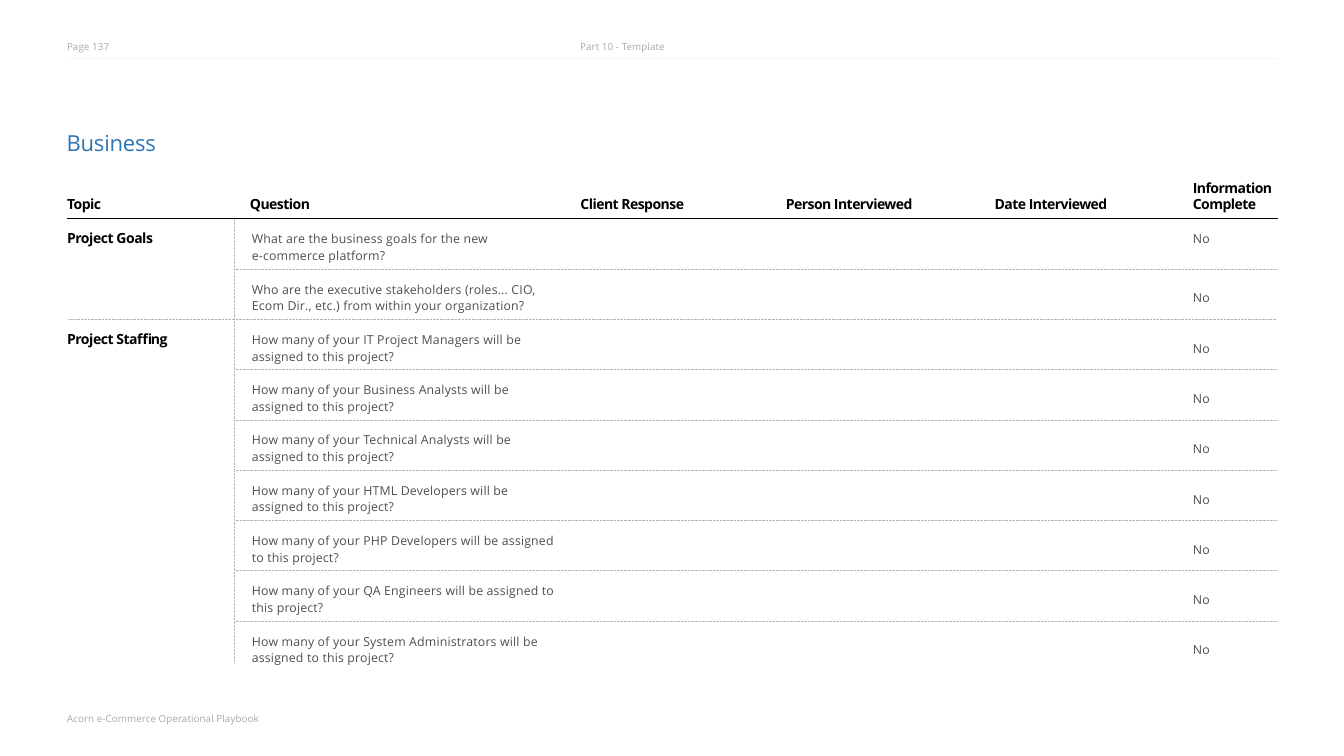
"""Build the Business interview checklist slide."""
from dataclasses import dataclass, field

import lxml.etree
import pptx
import pptx.dml.color
import pptx.enum.dml
import pptx.enum.shapes
import pptx.enum.text
import pptx.oxml.ns
import pptx.util

Pt = pptx.util.Pt
Anchor = pptx.enum.text.MSO_ANCHOR
Dash = pptx.enum.dml.MSO_LINE


@dataclass(frozen=True)
class TextStyle:
    size: float
    color: str
    bold: bool = False
    tracking: float = 0.0
    leading: float = 1.0


@dataclass(frozen=True)
class Stroke:
    color: str
    width: float
    dash: Dash = Dash.SOLID


@dataclass(frozen=True)
class Theme:
    font: str = "Open Sans"
    title: TextStyle = field(default=TextStyle(26, "2E75B5", tracking=-0.3))
    heading: TextStyle = field(default=TextStyle(16.5, "000000", True, -0.6, 0.84))
    topic: TextStyle = field(default=TextStyle(16.5, "000000", True, -0.5))
    body: TextStyle = field(default=TextStyle(14.5, "4B4F51", tracking=0.2))
    caption: TextStyle = field(default=TextStyle(11.5, "A7A8AA", tracking=0.1))
    page_rule: Stroke = field(default=Stroke("F4F5F4", 0.25))
    heading_rule: Stroke = field(default=Stroke("000101", 0.82))
    row_rule: Stroke = field(default=Stroke("B4B5B7", 0.82, Dash.ROUND_DOT))


@dataclass(frozen=True)
class Caption:
    text: str
    left: float
    top: float
    width: float


@dataclass(frozen=True)
class Column:
    heading: str
    width: float
    margin: float = 1.25


@dataclass(frozen=True)
class Topic:
    name: str
    questions: tuple[str, ...]


THEME = Theme()
CAPTIONS = (
    Caption("Page 137", 79, 47.5, 80),
    Caption("Part 10 - Template", 683.5, 47.5, 140),
    Caption("Acorn e-Commerce Operational Playbook", 79, 839.5, 260),
)
COLUMNS = (
    Column("Topic", 198, 0.5),
    Column("Question", 406, 18),
    Column("Client Response", 242),
    Column("Person Interviewed", 246),
    Column("Date Interviewed", 233.5),
    Column("Information Complete", 101),
)
TOPICS = (
    Topic("Project Goals", (
        "What are the business goals for the new\ne-commerce platform?",
        "Who are the executive stakeholders (roles... CIO,\n"
        "Ecom Dir., etc.) from within your organization?",
    )),
    Topic("Project Staffing", (
        "How many of your IT Project Managers will be\nassigned to this project?",
        "How many of your Business Analysts will be\nassigned to this project?",
        "How many of your Technical Analysts will be\nassigned to this project?",
        "How many of your HTML Developers will be\nassigned to this project?",
        "How many of your PHP Developers will be assigned\nto this project?",
        "How many of your QA Engineers will be assigned to\nthis project?",
        "How many of your System Administrators will be\nassigned to this project?",
    )),
)
TABLE_LEFT, TABLE_TOP = 78.5, 207.75
HEADING_HEIGHT, ROW_HEIGHT, LAST_ROW_HEIGHT = 50, 59.25, 49
BODY_TOP = TABLE_TOP + HEADING_HEIGHT
QUESTION_LEFT = TABLE_LEFT + COLUMNS[0].width
RULE_RIGHT = 1504


def write(frame, text: str, *, style: TextStyle) -> None:
    """Fill a text frame with one paragraph per line of text."""
    for index, line in enumerate(text.split("\n")):
        para = frame.add_paragraph() if index else frame.paragraphs[0]
        para.alignment = pptx.enum.text.PP_ALIGN.LEFT
        para.line_spacing = style.leading
        para.space_before = Pt(0)
        span = para.add_run()
        span.text = line
        span.font.name = THEME.font
        span.font.size = Pt(style.size)
        span.font.bold = style.bold
        span.font.color.rgb = pptx.dml.color.RGBColor.from_string(style.color)
        span._r.get_or_add_rPr().set("spc", str(round(style.tracking * 100)))


def prepare_frame(frame) -> None:
    """Remove the insets and automatic sizing of a text frame."""
    frame.margin_left = frame.margin_right = frame.margin_top = frame.margin_bottom = 0
    frame.word_wrap = True
    frame.auto_size = pptx.enum.text.MSO_AUTO_SIZE.NONE
    frame.vertical_anchor = Anchor.TOP


def draw_caption(page, caption: Caption) -> None:
    """Place a small grey label."""
    box = page.shapes.add_textbox(
        Pt(caption.left), Pt(caption.top), Pt(caption.width), Pt(17))
    prepare_frame(box.text_frame)
    write(box.text_frame, caption.text, style=THEME.caption)


def draw_title(page, text: str) -> None:
    """Move and format the title placeholder."""
    title = page.shapes.title
    title.left, title.top, title.width, title.height = Pt(78.5), Pt(152), Pt(400), Pt(36)
    prepare_frame(title.text_frame)
    write(title.text_frame, text, style=THEME.title)


def draw_rule(page, left: float, top: float, right: float, bottom: float,
              stroke: Stroke) -> None:
    """Draw a straight rule between two points."""
    rule = page.shapes.add_connector(
        pptx.enum.shapes.MSO_CONNECTOR.STRAIGHT, Pt(left), Pt(top), Pt(right), Pt(bottom))
    rule.line.color.rgb = pptx.dml.color.RGBColor.from_string(stroke.color)
    rule.line.width = Pt(stroke.width)
    rule.line.dash_style = stroke.dash
    lxml.etree.SubElement(rule._element.spPr, pptx.oxml.ns.qn("a:effectLst"))


def fill_cell(cell, text: str, *, style: TextStyle, left: float = 1.25, top: float = 0,
              bottom: float = 0, anchor: Anchor = Anchor.TOP) -> None:
    """Write text in a cell with the given margins."""
    cell.margin_left, cell.margin_right = Pt(left), 0
    cell.margin_top, cell.margin_bottom = Pt(top), Pt(bottom)
    cell.vertical_anchor = anchor
    write(cell.text_frame, text, style=style)


def add_checklist(page, count: int):
    """Add the unfilled table with its headings."""
    heights = [HEADING_HEIGHT] + [ROW_HEIGHT] * (count - 1) + [LAST_ROW_HEIGHT]
    table = page.shapes.add_table(
        count + 1, len(COLUMNS), Pt(TABLE_LEFT), Pt(TABLE_TOP),
        Pt(sum(column.width for column in COLUMNS)), Pt(sum(heights))).table
    table.first_row = table.horz_banding = False
    for row, height in zip(table.rows, heights):
        row.height = Pt(height)
    for cell in table.iter_cells():
        cell.fill.background()
    for index, column in enumerate(COLUMNS):
        table.columns[index].width = Pt(column.width)
        fill_cell(table.cell(0, index), column.heading, style=THEME.heading,
                  left=column.margin, bottom=7.5, anchor=Anchor.BOTTOM)
    return table


def draw_checklist(page) -> None:
    """Build the table of topics and interview questions with its rules."""
    count = sum(len(topic.questions) for topic in TOPICS)
    table = add_checklist(page, count)
    draw_rule(page, TABLE_LEFT, BODY_TOP, 1505.5, BODY_TOP, THEME.heading_rule)
    first = 1
    for topic in TOPICS:
        last = first + len(topic.questions) - 1
        for row, question in enumerate(topic.questions, first):
            fill_cell(table.cell(row, 1), question, style=THEME.body, left=20.25, top=14)
            fill_cell(table.cell(row, len(COLUMNS) - 1), "No", style=THEME.body,
                      top=14 if row == 1 else 24.5)
            if row < count:
                left = TABLE_LEFT + 2 if row == last else QUESTION_LEFT + 1
                top = BODY_TOP + row * ROW_HEIGHT
                draw_rule(page, left, top, RULE_RIGHT, top, THEME.row_rule)
        table.cell(first, 0).merge(table.cell(last, 0))
        fill_cell(table.cell(first, 0), topic.name, style=THEME.topic, left=0.5, top=12)
        first = last + 1
    bottom = BODY_TOP + (count - 1) * ROW_HEIGHT + LAST_ROW_HEIGHT
    draw_rule(page, QUESTION_LEFT, BODY_TOP, QUESTION_LEFT, bottom, THEME.row_rule)


def main() -> None:
    """Assemble and save the deck."""
    deck = pptx.Presentation()
    deck.slide_width, deck.slide_height = Pt(1583.28), Pt(890.64)
    page = deck.slides.add_slide(deck.slide_layouts[5])
    draw_rule(page, 81.5, 69, RULE_RIGHT, 69, THEME.page_rule)
    draw_title(page, "Business")
    draw_checklist(page)
    for caption in CAPTIONS:
        draw_caption(page, caption)
    deck.save("out.pptx")


if __name__ == "__main__":
    main()
